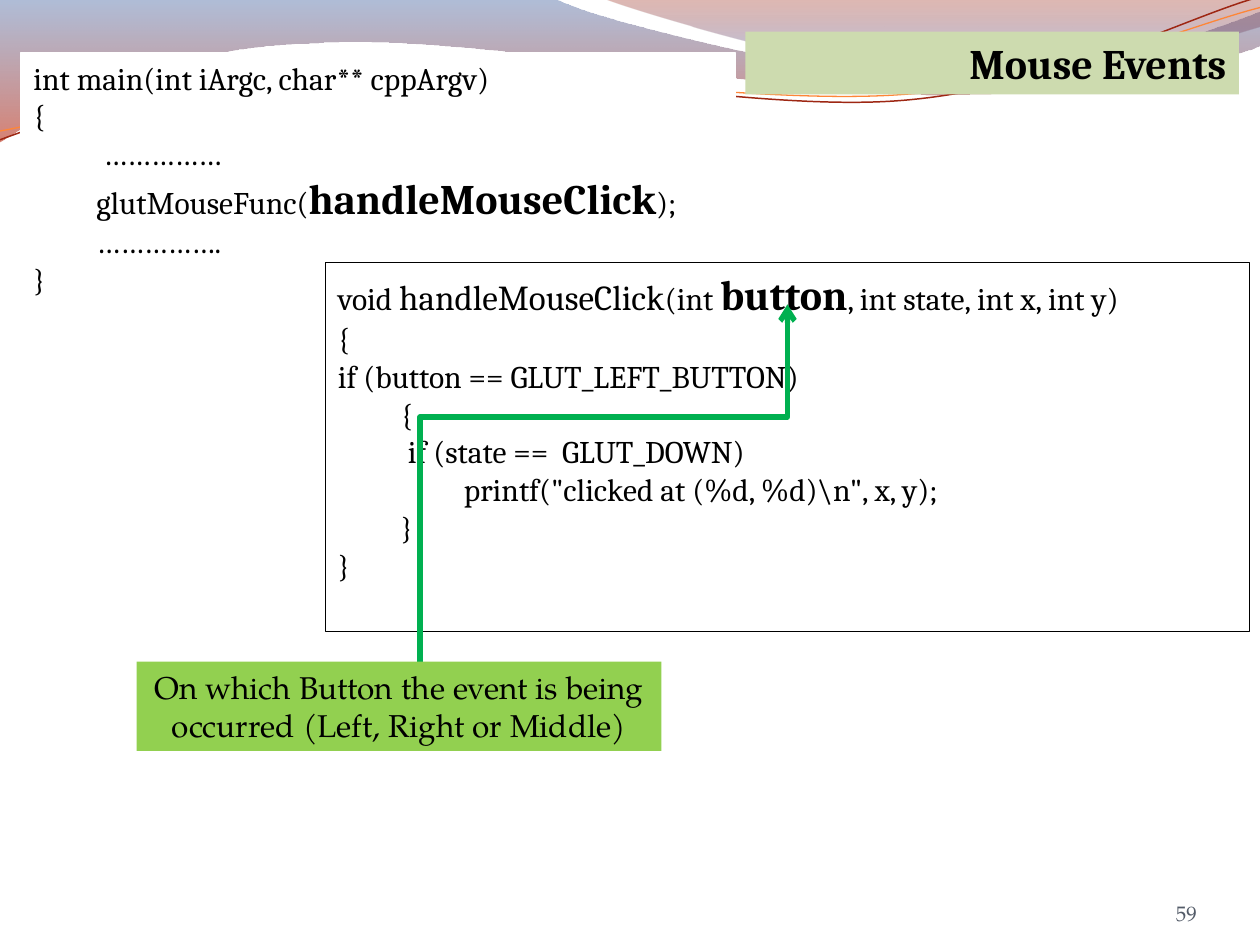
from dataclasses import dataclass

from lxml import etree
from pptx import Presentation
from pptx.dml.color import RGBColor
from pptx.enum.shapes import MSO_CONNECTOR as Connector, MSO_SHAPE as Shape
from pptx.enum.text import MSO_ANCHOR as Anchor, MSO_AUTO_SIZE as AutoSize, PP_ALIGN as Align
from pptx.oxml import parse_xml
from pptx.oxml.ns import nsdecls, qn
from pptx.util import Inches, Pt


@dataclass(frozen=True)
class Theme:
    code_font: str = "Cambria"
    body_font: str = "TeX Gyre Pagella"
    text: str = "000000"
    muted: str = "535B68"
    paper: str = "FFFFFF"
    title_fill: str = "CDDBAF"
    note_fill: str = "92D050"
    arrow: str = "00B050"
    red_wave: str = "9E2713"
    orange_wave: str = "FE8637"
    body_size: int = 18
    name_size: int = 20
    key_size: int = 24
    number_size: int = 12
    hairline: float = 0.75
    arrow_width: float = 3


def twelfths(*counts):
    return tuple(count / 12 for count in counts)


class SlideBuilder:
    def __init__(self, slide, theme):
        self.slide = slide
        self.theme = theme

    def outline(self, start, segments, close):
        points = [(Inches(x), Inches(y)) for segment in segments for x, y in segment]
        builder = self.slide.shapes.build_freeform(Inches(start[0]), Inches(start[1]))
        builder.add_line_segments(points, close=close)
        shape = builder.convert_to_shape()
        shape.shadow.inherit = False
        lines = iter(shape._element.spPr.findall(".//" + qn("a:lnTo")))
        for segment in segments:
            line = next(lines)
            if len(segment) == 3:
                line.tag = qn("a:cubicBezTo")
                for _ in range(2):
                    control = next(lines)
                    line.append(control[0])
                    control.getparent().remove(control)
        return shape

    def ribbon(self, start, segments, stops):
        shape = self.outline(start, segments, True)
        shape.line.fill.background()
        stop_xml = "".join(
            f'<a:gs pos="{position * 1000}"><a:srgbClr val="{color}">'
            f'<a:alpha val="{alpha * 1000}"/></a:srgbClr></a:gs>'
            for position, color, alpha in stops)
        gradient = parse_xml(
            f'<a:gradFill {nsdecls("a")} rotWithShape="1"><a:gsLst>{stop_xml}</a:gsLst>'
            '<a:lin ang="5400000" scaled="0"/></a:gradFill>')
        shape._element.spPr.find(qn("a:custGeom")).addnext(gradient)

    def wave(self, start, segments, color, width):
        shape = self.outline(start, segments, False)
        shape.fill.background()
        self.stroke(shape.line, color, width)

    def stroke(self, line, color, width):
        line.color.rgb = RGBColor.from_string(color)
        line.width = Pt(width)

    def fill(self, shape, color):
        shape.fill.solid()
        shape.fill.fore_color.rgb = RGBColor.from_string(color)

    def style(self, paragraph, font_name, size, color, align, bold=False):
        paragraph.alignment = align
        font = paragraph.font
        font.name, font.size, font.bold = font_name, Pt(size), bold
        font.color.rgb = RGBColor.from_string(color)

    def frame(self, shape, anchor=Anchor.TOP):
        frame = shape.text_frame
        frame.word_wrap = True
        frame.auto_size = AutoSize.NONE
        frame.vertical_anchor = anchor
        return frame

    def box(self, bounds, fill, line=None):
        shape = self.slide.shapes.add_shape(Shape.RECTANGLE, *map(Inches, bounds))
        shape.shadow.inherit = False
        self.fill(shape, fill)
        if line:
            self.stroke(shape.line, line, self.theme.hairline)
        else:
            shape.line.fill.background()
        return shape

    def code(self, bounds, line, lines):
        theme = self.theme
        frame = self.frame(self.box(bounds, theme.paper, line))
        for index, (level, *parts) in enumerate(lines):
            paragraph = frame.add_paragraph() if index else frame.paragraphs[0]
            paragraph.level = level
            properties = paragraph._p.get_or_add_pPr()
            properties.set("marL", str(Inches(0.5 * level)))
            properties.set("indent", "0")
            self.style(paragraph, theme.code_font, theme.body_size, theme.text, Align.LEFT)
            for part in parts:
                run = paragraph.add_run()
                if isinstance(part, str):
                    run.text = part
                else:
                    run.text, size = part
                    run.font.size = Pt(size)
                    run.font.bold = size == theme.key_size

    def title(self, bounds, text):
        theme = self.theme
        shape = self.slide.shapes.title
        shape.left, shape.top, shape.width, shape.height = map(Inches, bounds)
        self.fill(shape, theme.title_fill)
        frame = self.frame(shape)
        frame.text = text
        self.style(frame.paragraphs[0], theme.code_font, theme.key_size, theme.text,
                   Align.RIGHT, True)
        self.slide.shapes._spTree.append(shape._element)

    def note(self, bounds, text):
        theme = self.theme
        frame = self.frame(self.box(bounds, theme.note_fill))
        frame.text = text
        self.style(frame.paragraphs[0], theme.body_font, theme.body_size, theme.text, Align.CENTER)

    def page_number(self, bounds, text):
        theme = self.theme
        frame = self.frame(self.slide.shapes.add_textbox(*map(Inches, bounds)), Anchor.BOTTOM)
        frame.margin_left = frame.margin_right = frame.margin_top = frame.margin_bottom = 0
        frame.text = text
        self.style(frame.paragraphs[0], theme.body_font, theme.number_size, theme.muted,
                   Align.RIGHT)

    def rising_arrow(self, start, end, bend_y):
        (x1, y1), (x2, y2) = start, end
        center_x, center_y = (x1 + x2) / 2, (y1 + y2) / 2
        half_run, half_rise = (x2 - x1) / 2, (y1 - y2) / 2
        connector = self.slide.shapes.add_connector(
            Connector.ELBOW,
            Inches(center_x + half_rise), Inches(center_y + half_run),
            Inches(center_x - half_rise), Inches(center_y - half_run))
        self.stroke(connector.line, self.theme.arrow, self.theme.arrow_width)
        properties = connector._element.spPr
        properties.find(qn("a:xfrm")).set("rot", "5400000")
        geometry = properties.find(qn("a:prstGeom"))
        adjustments = geometry.find(qn("a:avLst"))
        if adjustments is None:
            adjustments = etree.SubElement(geometry, qn("a:avLst"))
        bend = round((y1 - bend_y) / (y1 - y2) * 100000)
        etree.SubElement(adjustments, qn("a:gd"), name="adj1", fmla=f"val {bend}")
        etree.SubElement(properties.find(qn("a:ln")), qn("a:tailEnd"), type="arrow")
        etree.SubElement(properties, qn("a:effectLst"))


def main():
    theme = Theme()
    presentation = Presentation()
    presentation.slide_width, presentation.slide_height = Inches(10), Inches(7.5)
    builder = SlideBuilder(presentation.slides.add_slide(presentation.slide_layouts[5]), theme)

    builder.ribbon((0, 0), [
        [(4.4, -0.01)], [(4.76, 0.17), (6.64, 0.63), (7.58, 0.63)],
        [(8.53, 0.63), (9.58, 0.26), (10, 0.09)], [(10.01, 0.36)],
        [(9.83, 0.44), (8.7, 0.76), (7.46, 0.75)], [(6.22, 0.75), (3.82, 0.28), (2.57, 0.34)],
        [(1.29, 0.36), (0.46, 0.83), (-0.01, 1.13)],
    ], [(0, "4F6EA8", 45), (100, "B61A00", 55)])
    builder.ribbon((4.79, -0.01), [
        [(5.09, 0.11), (6.82, 0.62), (7.69, 0.65)], [(8.56, 0.69), (9.61, 0.32), (10, 0.21)],
        [(10, 0)],
    ], [(0, "951500", 30), (80, "5681D1", 45)])
    builder.wave((0, 1.11), [
        [(0.48, 0.93), (1.58, 0.57), (2.77, 0.52)], [(3.95, 0.47), (5.93, 0.89), (7.13, 0.8)],
        [(8.33, 0.71), (9.38, 0.15), (9.98, -0.02)],
    ], theme.red_wave, 0.85)
    builder.wave((0, 1.04), [
        [(0.47, 0.96), (1.64, 0.61), (2.83, 0.56)], [(4.03, 0.51), (5.97, 0.84), (7.17, 0.75)],
        [(8.36, 0.67), (9.41, 0.21), (10, 0.06)],
    ], theme.orange_wave, theme.hairline)

    builder.page_number((8.67, 6.95, 0.83, 0.4), "59")
    builder.code((*twelfths(2, 5, 68), 2.02), theme.paper, [
        (0, "int main(int iArgc, char** cppArgv)"),
        (0, "{"),
        (1, " ……………"),
        (1, "glutMouseFunc(", ("handleMouseClick", theme.key_size), ");"),
        (1, "……………."),
        (0, "}"),
    ])
    builder.code((*twelfths(31, 25, 88), 2.93), theme.text, [
        (0, "void ", ("handleMouseClick", theme.name_size), "(int ",
         ("button", theme.key_size), ", int state, int x, int y)"),
        (0, "{"),
        (0, "if (button == GLUT_LEFT_BUTTON)"),
        (1, "{"),
        (1, " if (state ==  GLUT_DOWN)"),
        (2, 'printf("clicked at (%d, %d)\\n", x, y);'),
        (1, "}"),
        (0, "}"),
    ])
    builder.title((*twelfths(71, 3, 47), 0.5), " Mouse Events")
    builder.rising_arrow(twelfths(40, 65), twelfths(75, 29), 3.31)
    builder.note((*twelfths(13, 63, 50), 0.71),
                 "On which Button the event is being occurred (Left, Right or Middle)")
    presentation.save("out.pptx")


if __name__ == "__main__":
    main()
